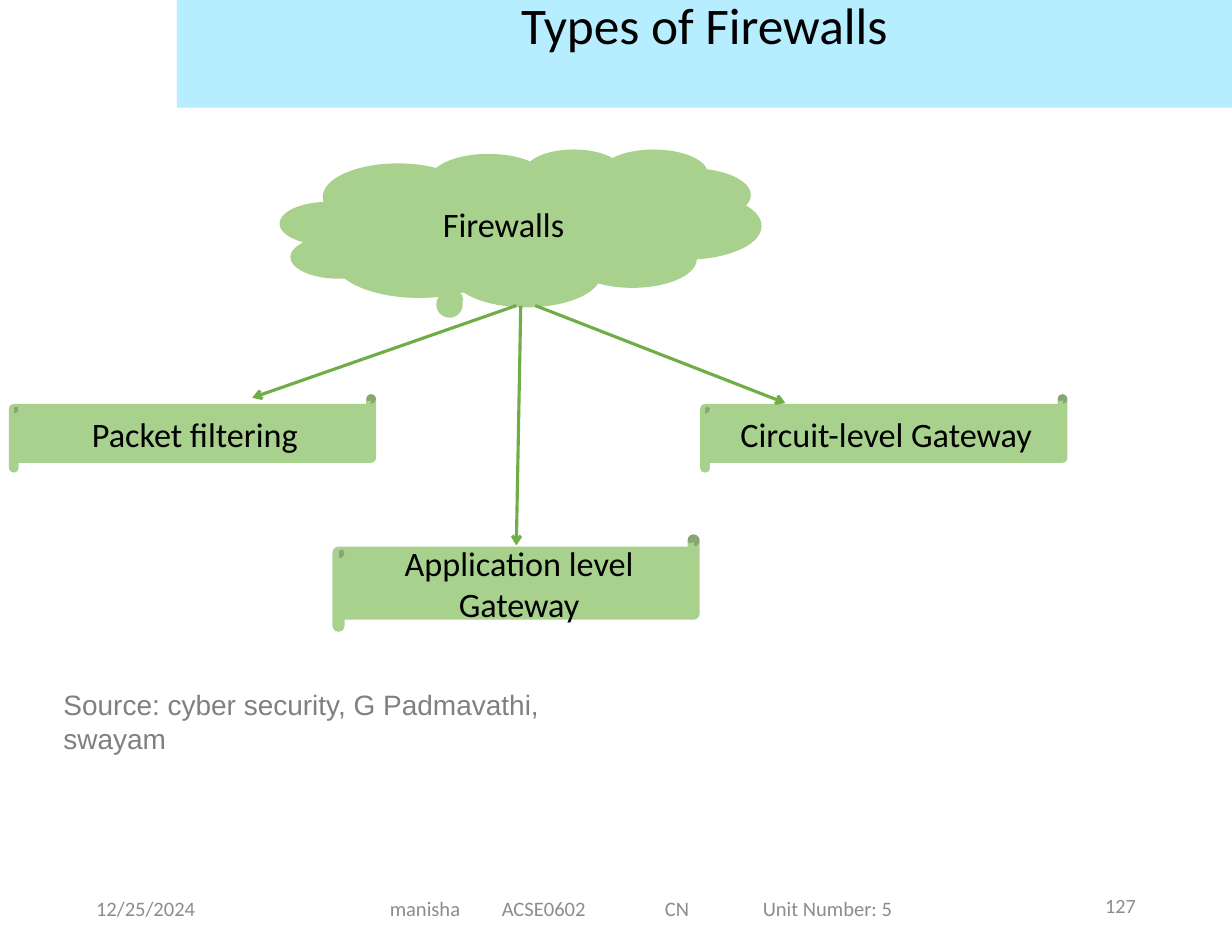
from lxml import etree
from pptx import Presentation
from pptx.dml.color import RGBColor
from pptx.enum.shapes import MSO_CONNECTOR, MSO_SHAPE
from pptx.enum.text import MSO_ANCHOR as Anchor, PP_ALIGN as Align
from pptx.oxml.ns import qn
from pptx.util import Cm, Pt

SKY = RGBColor(0xB7, 0xEE, 0xFF)
LEAF = RGBColor(0xA9, 0xD1, 0x8E)
GREEN = RGBColor(0x70, 0xAD, 0x47)
BLACK = RGBColor(0, 0, 0)
GRAY = RGBColor(0x80, 0x80, 0x80)
FOOTER_GRAY = RGBColor(0x8C, 0x8C, 0x8C)


def write(shape, text, size, color, align, font="Calibri", anchor=Anchor.MIDDLE):
    frame = shape.text_frame
    frame.word_wrap = True
    frame.vertical_anchor = anchor
    para = frame.paragraphs[0]
    para.alignment = align
    span = para.add_run()
    span.text = text
    span.font.name = font
    span.font.size = Pt(size)
    span.font.color.rgb = color
    return frame


def add_node(kind, text, left, top, width, height):
    node = page.shapes.add_shape(kind, Cm(left), Cm(top), Cm(width), Cm(height))
    node.shadow.inherit = False
    node.fill.solid()
    node.fill.fore_color.rgb = LEAF
    node.line.fill.background()
    write(node, text, 22, BLACK, Align.CENTER)
    return node


deck = Presentation()
deck.slide_width, deck.slide_height = Cm(27.94), Cm(21.59)
page = deck.slides.add_slide(deck.slide_layouts[5])

# Title band
title = page.shapes.title
title.left, title.top, title.width, title.height = Cm(4.01), Cm(0), Cm(23.93), Cm(2.44)
title.fill.solid()
title.fill.fore_color.rgb = SKY
frame = write(title, "Types of Firewalls", 33, BLACK, Align.CENTER, anchor=Anchor.TOP)
frame.margin_top = Cm(0)
frame.paragraphs[0].line_spacing = 0.9

# Cloud and the three firewall types
cloud = add_node(MSO_SHAPE.CLOUD_CALLOUT, "Firewalls", 6.35, 3.38, 10.92, 3.58)
cloud.adjustments[0] = -0.14
cloud.adjustments[1] = 0.46
for text, left, top, height in (
    ("Packet filtering", 0.2, 8.94, 1.78),
    ("Application level Gateway", 7.54, 12.12, 2.21),
    ("Circuit-level Gateway", 15.88, 8.94, 1.78),
):
    add_node(MSO_SHAPE.HORIZONTAL_SCROLL, text, left, top, 8.33, height)

# Arrows from the cloud to each type
for start_x, end_x, end_y in ((11.81, 11.71, 12.37), (11.71, 5.72, 9.02), (12.14, 17.81, 9.14)):
    arrow = page.shapes.add_connector(
        MSO_CONNECTOR.STRAIGHT, Cm(start_x), Cm(6.93), Cm(end_x), Cm(end_y))
    arrow.line.color.rgb = GREEN
    arrow.line.width = Pt(2)
    etree.SubElement(arrow.line._get_or_add_ln(), qn("a:tailEnd"), type="arrow")
    etree.SubElement(arrow._element.spPr, qn("a:effectLst"))

# Source line
source = page.shapes.add_textbox(Cm(1.19), Cm(15.47), Cm(12.52), Cm(1.02))
write(source, "Source: cyber security, G Padmavathi, swayam", 18, GRAY,
      Align.LEFT, "Arial", Anchor.TOP)

# Date, page number and footer
date = page.shapes.add_textbox(Cm(1.93), Cm(20.02), Cm(3.15), Cm(1.14))
write(date, "12/25/2024", 13.2, FOOTER_GRAY, Align.LEFT)
number = page.shapes.add_textbox(Cm(24.28), Cm(19.96), Cm(1.73), Cm(1.14))
write(number, "127", 13, FOOTER_GRAY, Align.RIGHT)

footer = page.shapes.add_textbox(Cm(6.86), Cm(20.04), Cm(15.37), Cm(1.12))
footer.text_frame.margin_left = Cm(1.98)
props = footer.text_frame.paragraphs[0]._p.get_or_add_pPr()
tabs = etree.SubElement(props, qn("a:tabLst"))
for stop in (2.54, 6.24, 8.46):
    etree.SubElement(tabs, qn("a:tab"), pos=str(Cm(stop)), algn="l")
write(footer, "manisha\tACSE0602\tCN\tUnit Number: 5", 13.2, FOOTER_GRAY, Align.LEFT)

deck.save("out.pptx")
